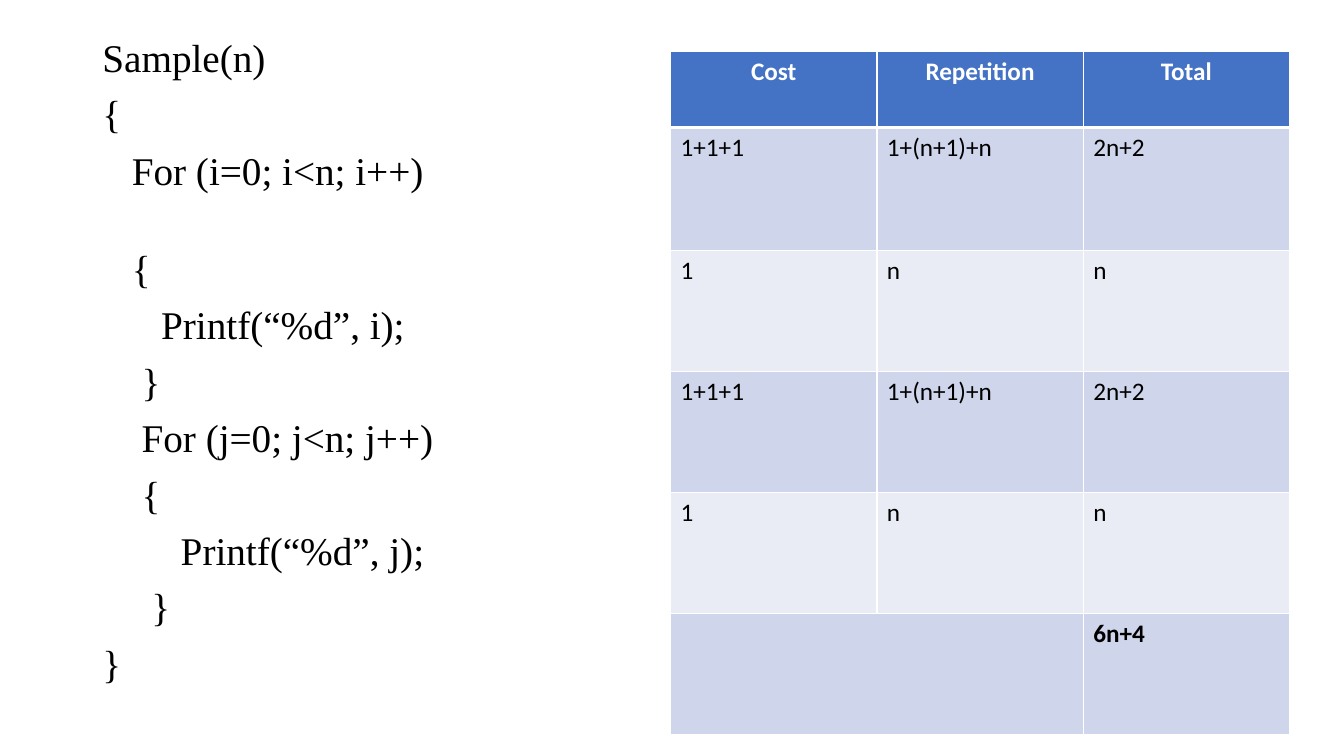
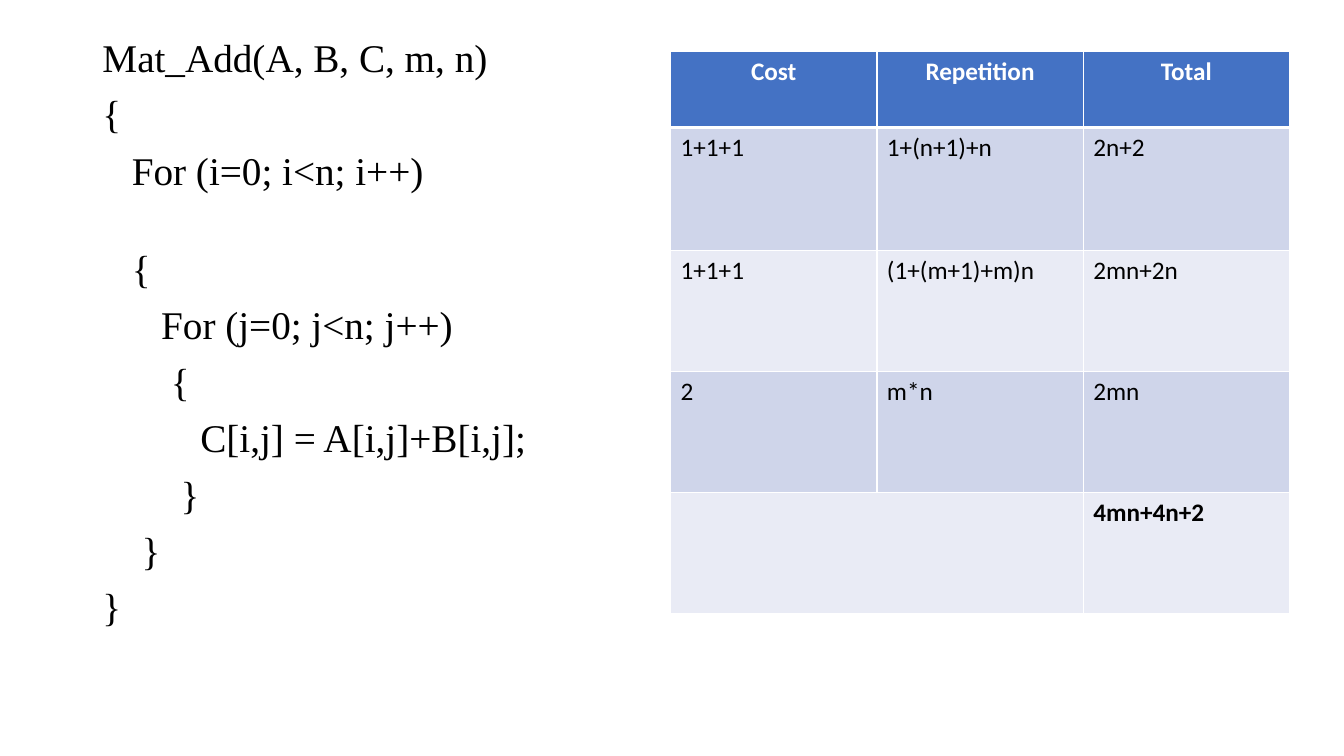
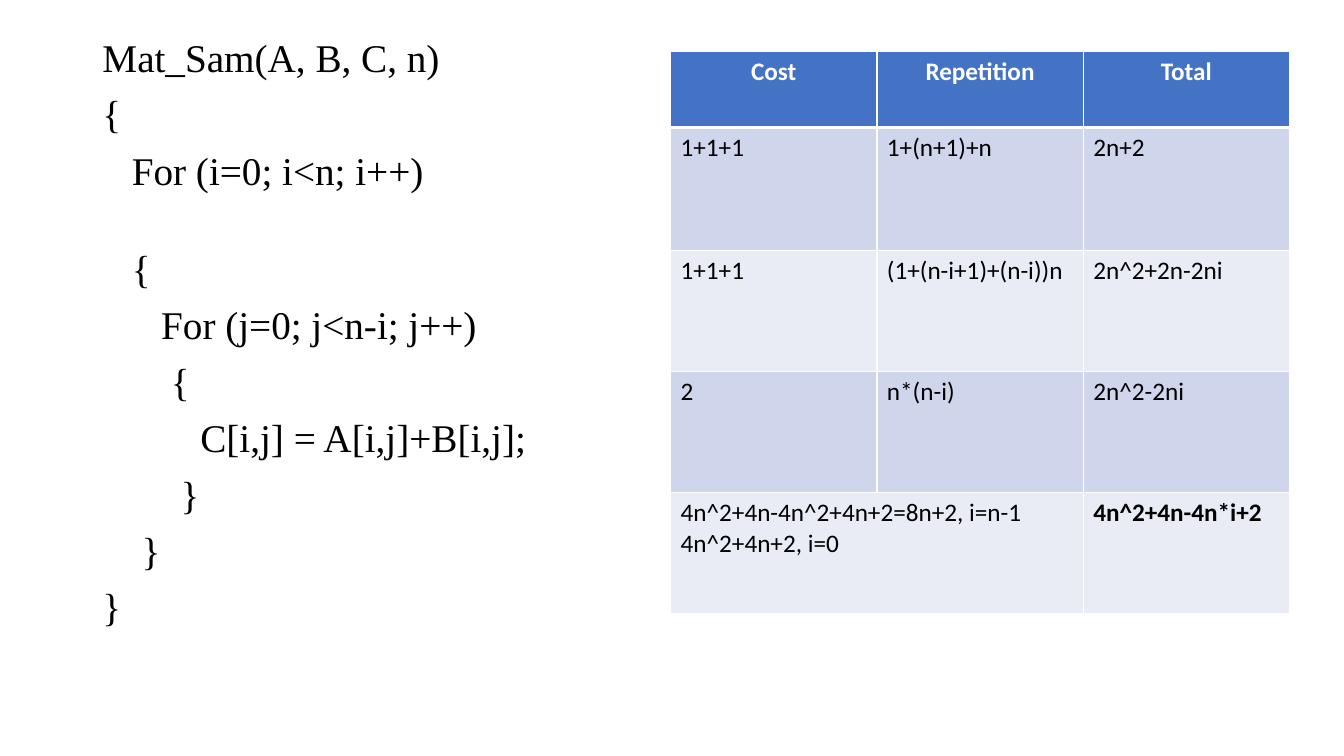
from lxml import etree
from pptx import Presentation
from pptx import util as u
from pptx.dml.color import RGBColor
from pptx.enum import text
from pptx.oxml import ns

Pt = u.Pt
BLACK = RGBColor(0x00, 0x00, 0x00)
WHITE = RGBColor(0xFF, 0xFF, 0xFF)
BLUE = RGBColor(0x44, 0x72, 0xC4)
DARK = RGBColor(0xCF, 0xD5, 0xEA)
PALE = RGBColor(0xE9, 0xEB, 0xF5)

HEAD = ["Cost", "Repetition", "Total"]
OUTER = "   For (i=0; i<n; i++)"


class Deck:
    """Slide style and the slide being built."""
    code_font = "Times New Roman"
    cell_font = "Calibri"
    code_box = Pt(66), Pt(24), Pt(390), Pt(501)
    grid_at = Pt(479), Pt(37)
    col_wide = 147.4
    head_high, first_high, row_high = 54, 87.8, 86.4

    def __init__(self):
        self.prs = Presentation()
        self.prs.slide_width, self.prs.slide_height = Pt(960), Pt(540)

    def new(self):
        self.slide = self.prs.slides.add_slide(self.prs.slide_layouts[1])
        title = self.slide.shapes.title.element
        title.getparent().remove(title)

    def code(self, lines):
        box = self.slide.placeholders[1]
        box.left, box.top, box.width, box.height = self.code_box
        frame = box.text_frame
        frame.text = "\n".join(lines)
        frame.word_wrap = True
        frame.auto_size = text.MSO_AUTO_SIZE.NONE
        frame.vertical_anchor = text.MSO_ANCHOR.TOP
        for i, para in enumerate(frame.paragraphs):
            props = para._p.get_or_add_pPr()
            props.set("marL", "0")
            props.set("indent", "0")
            etree.SubElement(props, ns.qn("a:buNone"))
            para.line_spacing = 0.9
            para.space_before = Pt(10 if i else 0)
            if para.text == OUTER:
                para.space_after = Pt(30)
            self.font(para, self.code_font, 28, BLACK)

    def font(self, para, name, size, color, bold=False):
        for run in para.runs:
            font = run.font
            font.name, font.size, font.bold = name, Pt(size), bold
            font.color.rgb = color

    def edges(self, cell, base):
        props = cell._tc.get_or_add_tcPr()
        for side, width in zip("LRTB", (1, 1, 1, base)):
            line = etree.SubElement(props, ns.qn(f"a:ln{side}"), w=str(Pt(width)))
            fill = etree.SubElement(line, ns.qn("a:solidFill"))
            etree.SubElement(fill, ns.qn("a:srgbClr"), val=str(WHITE))

    def cell(self, cell, words, fill, head=False, bold=False):
        self.edges(cell, 3 if head else 1)
        cell.fill.solid()
        cell.fill.fore_color.rgb = fill
        cell.text_frame.text = words
        for para in cell.text_frame.paragraphs:
            if head:
                para.alignment = text.PP_ALIGN.CENTER
            self.font(para, self.cell_font, 18, WHITE if head else BLACK, bold)

    def grid(self, rows):
        rows = [HEAD] + rows
        last = len(rows) - 1
        highs = [self.head_high, self.first_high] + [self.row_high] * (last - 1)
        table = self.slide.shapes.add_table(
            len(rows), len(HEAD), *self.grid_at,
            Pt(self.col_wide * len(HEAD)), Pt(sum(highs))).table
        for col in table.columns:
            col.width = Pt(self.col_wide)
        for r, (row, high) in enumerate(zip(rows, highs)):
            table.rows[r].height = Pt(high)
            fill = BLUE if r == 0 else DARK if r % 2 else PALE
            for c, words in enumerate(row):
                bold = r == 0 or (r == last and c == 2)
                self.cell(table.cell(r, c), words, fill, r == 0, bold)
        # The sum row joins its first two cells
        table.cell(last, 0).merge(table.cell(last, 1))


def matrix(name, limit):
    """Code of a nested loop over a matrix."""
    return [name, "{", OUTER, "   {", f"      For (j=0; j<{limit}; j++)",
            "       {", "          C[i,j] = A[i,j]+B[i,j];",
            "        }", "    }", "}"]


LOOP = ["1+1+1", "1+(n+1)+n", "2n+2"]
STEP = ["1", "n", "n"]

SLIDES = [
    # Two loops in a row
    (["Sample(n)", "{", OUTER, "   {", "      Printf(“%d”, i);", "    }",
      "    For (j=0; j<n; j++)", "    {", "        Printf(“%d”, j);",
      "     }", "}"],
     [LOOP, STEP, LOOP, STEP, ["", "", "6n+4"]]),
    # Matrix sum
    (matrix("Mat_Add(A, B, C, m, n)", "n"),
     [LOOP, ["1+1+1", "(1+(m+1)+m)n", "2mn+2n"], ["2", "m*n", "2mn"],
      ["", "", "4mn+4n+2"]]),
    # Inner loop that shrinks
    (matrix("Mat_Sam(A, B, C, n)", "n-i"),
     [LOOP, ["1+1+1", "(1+(n-i+1)+(n-i))n", "2n^2+2n-2ni"],
      ["2", "n*(n-i)", "2n^2-2ni"],
      ["4n^2+4n-4n^2+4n+2=8n+2, i=n-1\n4n^2+4n+2, i=0", "",
       "4n^2+4n-4n*i+2"]]),
]


def main():
    deck = Deck()
    for lines, rows in SLIDES:
        deck.new()
        deck.code(lines)
        deck.grid(rows)
    deck.prs.save("out.pptx")


if __name__ == "__main__":
    main()
